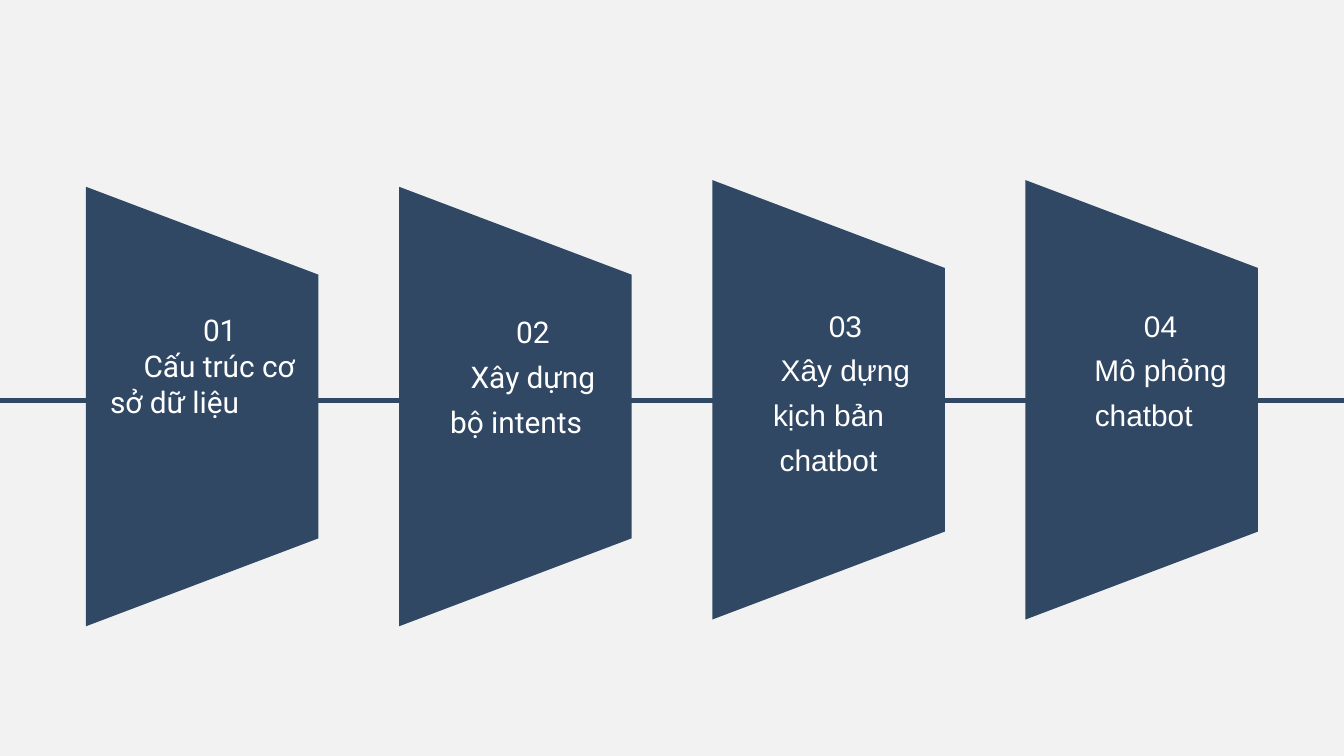
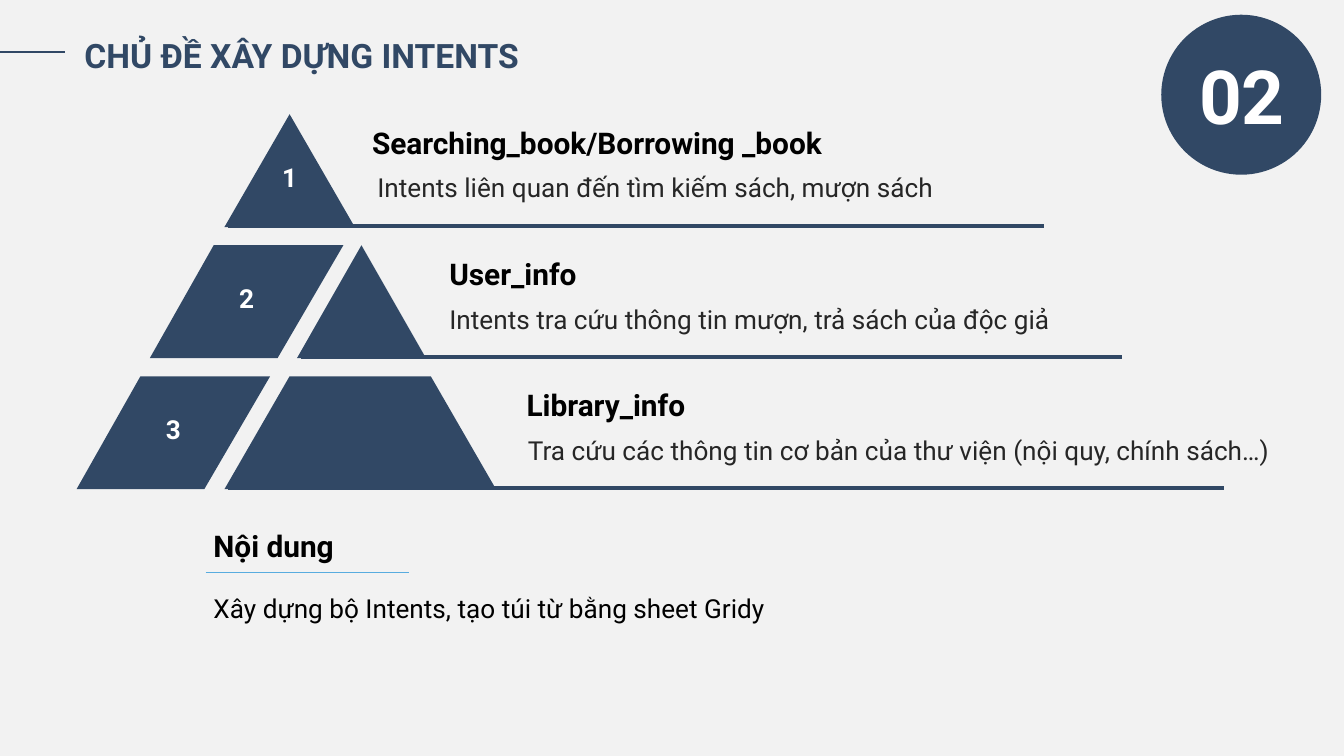
import pptx
import pptx.util
import pptx.dml.color
import pptx.enum.shapes
import pptx.enum.text
import pptx.oxml.ns
import lxml.etree

COLORS = {"paper": "F2F2F2", "navy": "314865", "sky": "58ACDF",
          "white": "FFFFFF", "black": "000000", "ink": "262626"}
SLIDE_WIDTH = pptx.util.Inches(10)
SLIDE_HEIGHT = pptx.util.Inches(5.625)
COLUMN = SLIDE_WIDTH / 100
ROW = SLIDE_HEIGHT / 56.25

STYLES = {
    "title": {"size": 18, "bold": True, "color": "navy"},
    "heading": {"size": 16, "bold": True, "color": "black"},
    "note": {"size": 14, "color": "ink", "spacing": 1.3},
    "summary": {"size": 14, "color": "black", "spacing": 1.3},
    "tier": {"size": 14, "bold": True, "color": "white", "centred": True},
    "badge": {"size": 40, "bold": True, "color": "white", "centred": True},
    "step": {"size": 16, "color": "white"},
}

PANEL_OUTLINE = [(0, 1), (0, 0), (1, 0.2), (1, 0.8)]
TRIANGLE = [(0, 1), (0.5, 0), (1, 1)]
SLANTED_BLOCK = [(0.33, 0), (0, 1), (0.66, 1), (1, 0)]
TRAPEZOID = [(0.24, 0), (0, 1), (1, 1), (0.76, 0)]


def grid(box):
    left, top, width, height = box
    return [round(value) for value in
            (left * COLUMN, top * ROW, width * COLUMN, height * ROW)]


def rgb(color):
    return pptx.dml.color.RGBColor.from_string(COLORS[color])


def paint(shape):
    shape.shadow.inherit = False
    shape.fill.solid()
    shape.fill.fore_color.rgb = rgb("navy")
    shape.line.fill.background()


def write(frame, lines, style, font="Roboto", indent=0, **changes):
    look = {**STYLES[style], **changes}
    for position, line in enumerate(lines):
        paragraph = frame.paragraphs[0] if position == 0 else frame.add_paragraph()
        if look.get("centred"):
            paragraph.alignment = pptx.enum.text.PP_ALIGN.CENTER
        else:
            paragraph.alignment = pptx.enum.text.PP_ALIGN.LEFT
        if "spacing" in look:
            paragraph.line_spacing = look["spacing"]
        if indent:
            properties = paragraph._p.get_or_add_pPr()
            properties.set("marL", "0")
            properties.set("indent", str(round(indent * COLUMN)))
        run = paragraph.add_run()
        run.text = line
        font_values = {"name": font, "size": pptx.util.Pt(look["size"]),
                       "bold": look.get("bold", False)}
        for attribute, value in font_values.items():
            setattr(run.font, attribute, value)
        run.font.color.rgb = rgb(look["color"])


def label(shapes, box, lines, style, wrap=True, **changes):
    frame = shapes.add_textbox(*grid(box)).text_frame
    frame.word_wrap = wrap
    frame.auto_size = pptx.enum.text.MSO_AUTO_SIZE.SHAPE_TO_FIT_TEXT
    write(frame, lines, style, **changes)
    return frame


def outline(shapes, box, points):
    left, top, width, height = grid(box)
    corners = [(round(left + x * width), round(top + y * height)) for x, y in points]
    builder = shapes.build_freeform(*corners[0], scale=1.0)
    builder.add_line_segments(corners[1:], close=True)
    shape = builder.convert_to_shape()
    paint(shape)
    return shape


def rule(shapes, start, end, row, weight, color="navy"):
    left, top, width, _ = grid((start, row, end - start, 0))
    connector = shapes.add_connector(
        pptx.enum.shapes.MSO_CONNECTOR.STRAIGHT, left, top, left + width, top)
    connector.line.color.rgb = rgb(color)
    connector.line.width = pptx.util.Pt(weight)
    lxml.etree.SubElement(connector._element.spPr, pptx.oxml.ns.qn("a:effectLst"))


def step_panel(slide, box, text_box, number, topic, font, spacing):
    left, top, _, _ = box
    shapes = slide.shapes.add_group_shape().shapes
    outline(shapes, box, PANEL_OUTLINE)
    inset_x, inset_y, width, height = text_box
    frame = label(shapes, (left + inset_x, top + inset_y, width, height),
                  [number, topic], "step", font=font, indent=2.5,
                  centred=True, spacing=spacing)
    if number == "01":
        frame.paragraphs[1].alignment = pptx.enum.text.PP_ALIGN.LEFT


def steps_slide(slide):
    rule(slide.shapes, 0, 100, 29.8, 3)
    steps = [
        ("01", "Cấu trúc cơ sở dữ liệu", "Roboto", 1.0, 13.9, (0.8, 8.8, 15.8, 9.1)),
        ("02", "Xây dựng bộ intents", "Roboto", 1.25, 13.9, (0.8, 8.3, 15.8, 10.8)),
        ("03", "Xây dựng kịch bản chatbot", "Arial", 1.25, 13.4, (0.6, 8.3, 16.1, 14.5)),
        ("04", "Mô phỏng chatbot", "Arial", 1.25, 13.4, (0.6, 8.3, 16.4, 10.8)),
    ]
    for position, (number, topic, font, spacing, top, text_box) in enumerate(steps):
        step_panel(slide, (6.4 + 23.3 * position, top, 17.3, 32.7), text_box,
                   number, topic, font, spacing)


def title_band(slide, box, title):
    left, top, width, height = box
    rule(slide.shapes, left - 7.9, left - 0.5, top + 1.8, 1)
    label(slide.shapes, box, [title], "title")


def badge(slide, box, number):
    left, top, width, height = box
    shapes = slide.shapes.add_group_shape().shapes
    paint(shapes.add_shape(pptx.enum.shapes.MSO_SHAPE.OVAL, *grid(box)))
    label(shapes, (left - 2.9, top + 2.1, width + 5.9, 7.7), [number], "badge")


def numbered_block(slide, box, points, number, top_inset):
    frame = outline(slide.shapes, box, points).text_frame
    frame_values = {"word_wrap": True,
                    "vertical_anchor": pptx.enum.text.MSO_ANCHOR.MIDDLE,
                    "margin_top": round(top_inset * ROW),
                    "margin_bottom": round(0.5 * ROW)}
    for attribute, value in frame_values.items():
        setattr(frame, attribute, value)
    write(frame, [number], "tier")


def tier_text(slide, box, heading, heading_width, note, note_shift, note_width):
    left, top, _, _ = box
    label(slide.shapes, (left + note_shift, top + 3.1, note_width, 4.1), [note], "note")
    label(slide.shapes, (left, top + 0.3, heading_width, 3.7), [heading], "heading")


def pyramid(slide, box):
    left, top, _, height = box
    block_height = 8.4
    pitch = (height - block_height) / 2
    tiers = [
        ("Searching_book/Borrowing _book", 41.4,
         "Intents liên quan đến tìm kiếm sách, mượn sách", 0.4, 50.6, 77.7),
        ("User_info", 14.3,
         "Intents tra cứu thông tin mượn, trả sách của độc giả", 0, 51.1, 83.5),
        ("Library_info", 17.4,
         "Tra cứu các thông tin cơ bản của thư viện (nội quy, chính sách…)", 0.1, 58.4, 91.1),
    ]
    fillers = [None, (16.4, 9.6, TRIANGLE), (11, 20.2, TRAPEZOID)]
    for position, (tier, filler) in enumerate(zip(tiers, fillers)):
        heading, heading_width, note, note_shift, note_width, rule_end = tier
        tier_top = top + pitch * position
        block_left = left + 5.45 * (2 - position)
        if filler:
            filler_shift, filler_width, points = filler
            base_left = left + filler_shift
            numbered_block(slide, (block_left, tier_top, 14.4, block_height),
                           SLANTED_BLOCK, str(position + 1), 0)
            outline(slide.shapes, (base_left, tier_top, filler_width, block_height), points)
        else:
            base_left = left + 11
            numbered_block(slide, (base_left, tier_top, 9.7, block_height),
                           TRIANGLE, str(position + 1), 1.4)
        tier_text(slide, (left + 21 + 5.75 * position, tier_top, note_width, block_height),
                  heading, heading_width, note, note_shift, note_width)
        rule(slide.shapes, base_left + 0.3, rule_end, tier_top + 8.3, 2.25)


def summary(slide, box):
    left, top, width, _ = box
    label(slide.shapes, (left, top, 11.7, 3.7), ["Nội dung"], "heading", wrap=False)
    rule(slide.shapes, left + 0.4, left + 15.5, top + 3.8, 1, "sky")
    label(slide.shapes, (left, top + 4.1, width, 4.1),
          ["Xây dựng bộ Intents, tạo túi từ bằng sheet Gridy"], "summary")


def intents_slide(slide):
    pyramid(slide, (5.7, 8.5, 31.2, 27.9))
    summary(slide, (14.9, 38.8, 68.7, 8.2))
    title_band(slide, (5.3, 2.1, 40.2, 4), "CHỦ ĐỀ XÂY DỰNG INTENTS")
    badge(slide, (86.4, 1.1, 11.9, 11.9), "02")


def main():
    deck = pptx.Presentation()
    deck.slide_width = SLIDE_WIDTH
    deck.slide_height = SLIDE_HEIGHT
    for build in (steps_slide, intents_slide):
        slide = deck.slides.add_slide(deck.slide_layouts[6])
        slide.background.fill.solid()
        slide.background.fill.fore_color.rgb = rgb("paper")
        build(slide)
    deck.save("out.pptx")


if __name__ == "__main__":
    main()
